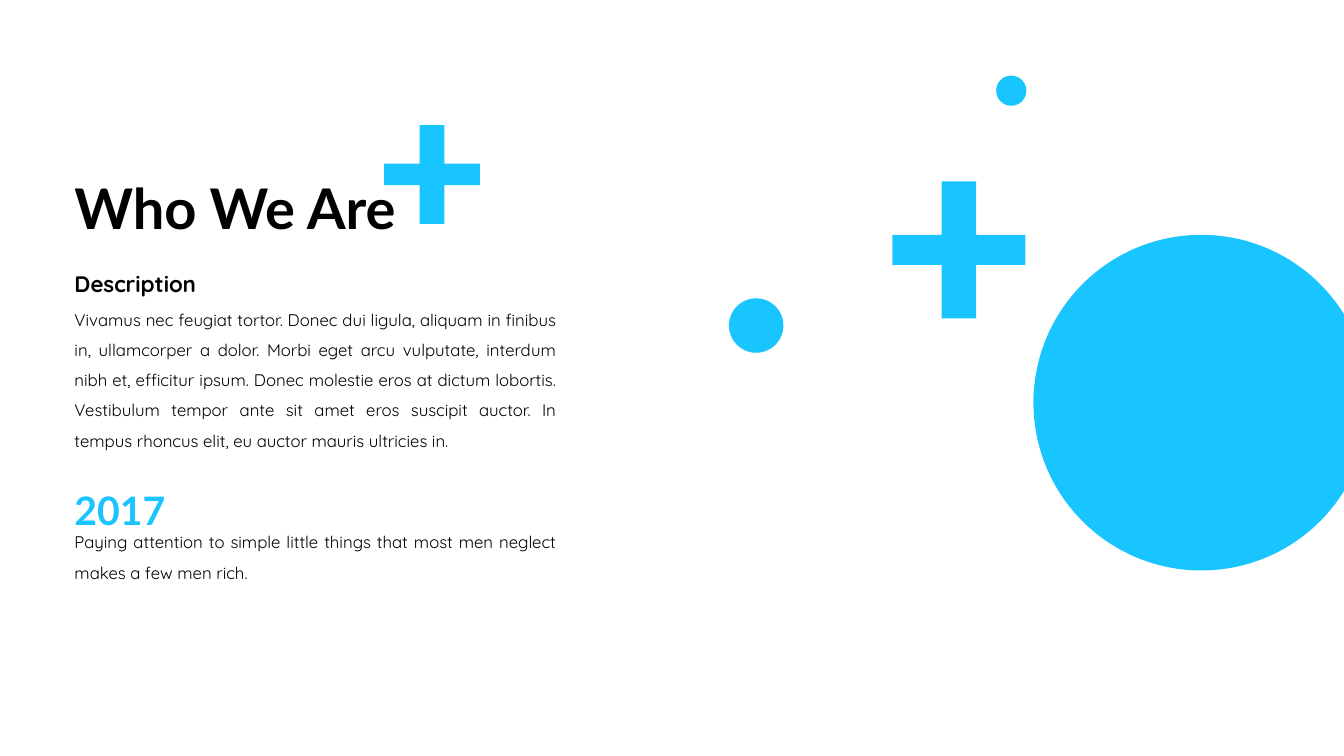
from pptx import Presentation
from pptx.dml.color import RGBColor
from pptx.enum.shapes import MSO_SHAPE
from pptx.enum.text import MSO_ANCHOR, PP_ALIGN
from pptx.util import Inches, Pt

W, H = 13.33, 7.5
LEFT, COLUMN = 0.64, 4.98
BLACK, BLUE = "000000", "19C5FF"

TITLE = "Who We Are"
HEADING = "Description"
BODY = ("Vivamus nec feugiat tortor. Donec dui ligula, aliquam in finibus in, "
        "ullamcorper a dolor. Morbi eget arcu vulputate, interdum nibh et, "
        "efficitur ipsum. Donec molestie eros at dictum lobortis. Vestibulum "
        "tempor ante sit amet eros suscipit auctor. In tempus rhoncus elit, "
        "eu auctor mauris ultricies in.")
YEAR = "2017"
QUOTE = ("Paying attention to simple little things that most men neglect "
         "makes a few men rich.")

CIRCLES = [(10.25, 2.33, 3.33), (7.23, 2.96, 0.54), (9.88, 0.75, 0.3)]
PLUSES = [(3.81, 1.24, 0.95, 0.98), (8.85, 1.8, 1.32, 1.36)]
BAR_X, BAR_Y = 0.37, 0.39

TEXTS = [
    (TITLE, 1.37, 5.08, 1.45, dict(size=40, font="Lato", bold=True, spacing=0.9,
                                   align=PP_ALIGN.LEFT, anchor=MSO_ANCHOR.MIDDLE)),
    (HEADING, 2.5, 2.96, 0.45, dict(size=16, bold=True)),
    (BODY, 2.92, COLUMN, 1.62, {}),
    (YEAR, 4.54, 1.36, 0.71, dict(size=28, font="Lato", bold=True, color=BLUE)),
    (QUOTE, 5.13, COLUMN, 0.67, {}),
]


def rgb(color):
    return RGBColor.from_string(color)


def paint(sp):
    sp.shadow.inherit = False
    sp.fill.solid()
    sp.fill.fore_color.rgb = rgb(BLUE)
    sp.line.fill.background()


def add_circle(s, x, y, d):
    paint(s.shapes.add_shape(MSO_SHAPE.OVAL, *map(Inches, (x, y, d, d))))


def add_plus(s, x, y, w, h):
    x1, x2 = x + BAR_X * w, x + (1 - BAR_X) * w
    y1, y2 = y + BAR_Y * h, y + (1 - BAR_Y) * h
    right, bottom = x + w, y + h
    corners = [(x1, y), (x2, y), (x2, y1), (right, y1), (right, y2), (x2, y2),
               (x2, bottom), (x1, bottom), (x1, y2), (x, y2), (x, y1), (x1, y1)]
    points = [(Inches(px), Inches(py)) for px, py in corners]
    outline = s.shapes.build_freeform(*points[0])
    outline.add_line_segments(points[1:], close=True)
    paint(outline.convert_to_shape())


def add_text(s, text, y, w, h, size=12, font="Quicksand", color=BLACK, bold=False,
             spacing=1.5, align=PP_ALIGN.JUSTIFY, anchor=MSO_ANCHOR.TOP):
    tf = s.shapes.add_textbox(*map(Inches, (LEFT, y, w, h))).text_frame
    tf.word_wrap = True
    tf.vertical_anchor = anchor
    p = tf.paragraphs[0]
    p.alignment, p.line_spacing = align, spacing
    r = p.add_run()
    r.text = text
    r.font.name, r.font.size, r.font.bold = font, Pt(size), bold
    r.font.color.rgb = rgb(color)


def main():
    """Build the Who We Are slide."""
    prs = Presentation()
    prs.slide_width, prs.slide_height = Inches(W), Inches(H)
    s = prs.slides.add_slide(prs.slide_layouts[6])
    for circle in CIRCLES:
        add_circle(s, *circle)
    for plus in PLUSES:
        add_plus(s, *plus)
    for text, y, w, h, style in TEXTS:
        add_text(s, text, y, w, h, **style)
    prs.save("out.pptx")


if __name__ == "__main__":
    main()
